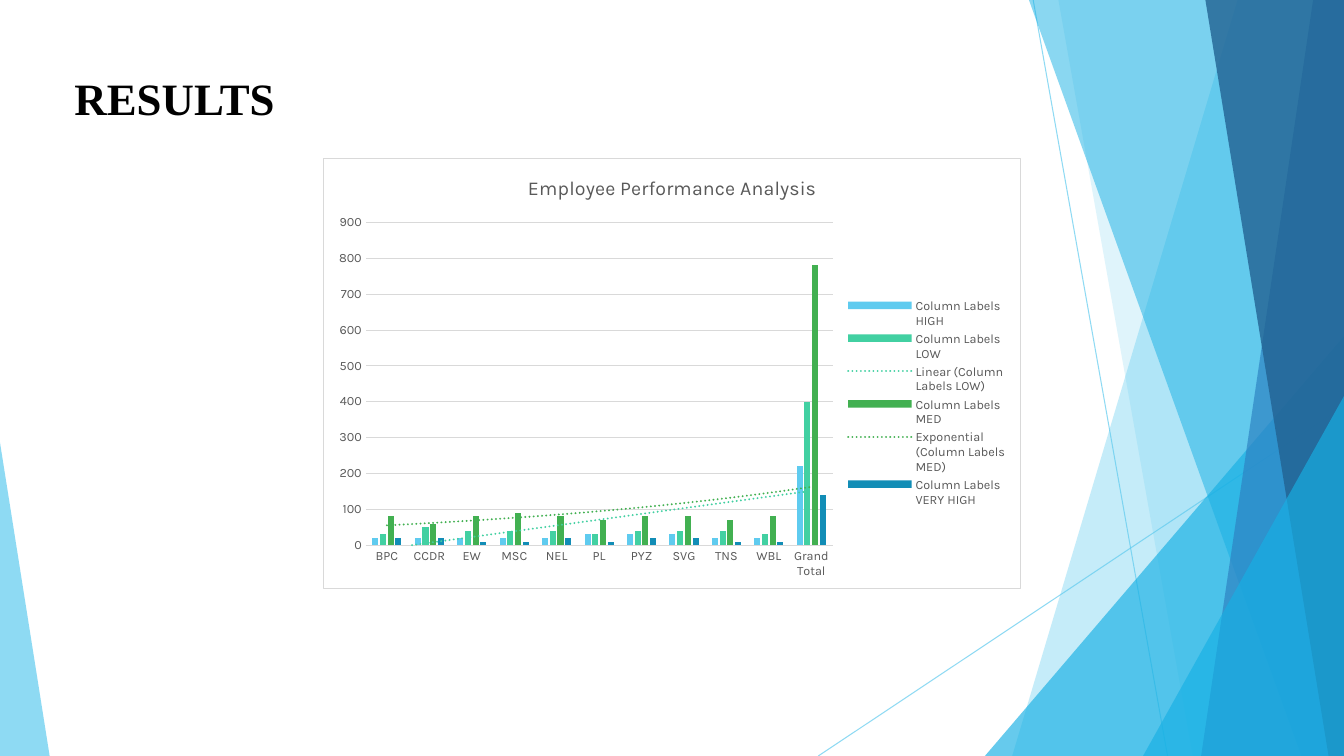
from lxml.etree import SubElement
from pptx import Presentation
from pptx.chart.data import CategoryChartData
from pptx.dml.color import RGBColor
from pptx.enum.chart import XL_CHART_TYPE, XL_LEGEND_POSITION, XL_TICK_MARK
from pptx.enum.shapes import MSO_CONNECTOR, MSO_SHAPE
from pptx.enum.text import MSO_ANCHOR, PP_ALIGN
from pptx.oxml import parse_xml
from pptx.oxml.ns import nsdecls, qn
from pptx.util import Pt

W, H = 960, 540
TITLE = "RESULTS"
CHART_TITLE = "Employee Performance Analysis"
FONT, GREY, RULE = "Karla", "595959", "D9D9D9"

# x1, y1, x2, y2
LINES = [(738, 0, 834, H), (W, 290, 584.5, H)]
# top-left x, bottom-left x, colour, opacity %; each band runs to the right edge
BANDS_BACK = [(884, 723, "5FCBEF", 36), (756, 852, "5FCBEF", 20)]
BANDS_FRONT = [
    (735, 929.5, "17B0E4", 50),
    (938, 858, "2E83C3", 70),
    (861, 949, "226292", 80),
]
# left, top, width, apex position, colour, opacity %; each stands on the bottom edge
TRIANGLE_BACK = (703.5, 240, 256.5, 1, "17B0E4", 66)
TRIANGLES_FRONT = [
    (816.5, 283, 143.5, 1, "17B0E4", 66),
    (0, 316, 35.5, 0, "5FCBEF", 70),
]

CATEGORIES = ["BPC", "CCDR", "EW", "MSC", "NEL", "PL", "PYZ", "SVG", "TNS", "WBL",
              "Grand Total"]
# name, colour, trend line, values
SERIES = [
    ("Column Labels HIGH", "5FCBEF", None,
     [20, 20, 20, 20, 20, 30, 30, 30, 20, 20, 220]),
    ("Column Labels LOW", "42D0A2", "linear",
     [30, 50, 40, 40, 40, 30, 40, 40, 40, 30, 400]),
    ("Column Labels MED", "42B051", "exp",
     [80, 60, 80, 90, 80, 70, 80, 80, 70, 80, 780]),
    ("Column Labels VERY HIGH", "128DB6", None,
     [20, 20, 10, 10, 20, 10, 20, 20, 10, 10, 140]),
]
# x, y, w, h as shares of the chart
PLOT_BOX = (0.06, 0.15, 0.67, 0.75)
LEGEND_BOX = (0.74, 0.32, 0.25, 0.5)


def rgb(value):
    return RGBColor.from_string(value)


def set_alpha(fill_parent, percent):
    color = next(fill_parent.iter(qn("a:srgbClr")))
    SubElement(color, qn("a:alpha"), val=str(percent * 1000))


def paint(s, color, opacity):
    s.shadow.inherit = False
    s.fill.solid()
    s.fill.fore_color.rgb = rgb(color)
    s.line.fill.background()
    set_alpha(s._element.spPr, opacity)


def add_line(x1, y1, x2, y2):
    s = shapes.add_connector(MSO_CONNECTOR.STRAIGHT, Pt(x1), Pt(y1), Pt(x2), Pt(y2))
    s.line.color.rgb = rgb("5FCBEF")
    s.line.width = Pt(0.75)
    set_alpha(s._element.spPr, 70)
    SubElement(s._element.spPr, qn("a:effectLst"))


def add_band(top_x, bottom_x, color, opacity):
    fb = shapes.build_freeform(Pt(top_x), 0)
    fb.add_line_segments([(Pt(W), 0), (Pt(W), Pt(H)), (Pt(bottom_x), Pt(H))])
    paint(fb.convert_to_shape(), color, opacity)


def add_triangle(left, top, width, apex, color, opacity):
    s = shapes.add_shape(MSO_SHAPE.ISOSCELES_TRIANGLE,
                         Pt(left), Pt(top), Pt(width), Pt(H - top))
    s.adjustments[0] = apex
    paint(s, color, opacity)


def style(font, size, color=GREY):
    font.name, font.size, font.bold = FONT, Pt(size), False
    font.color.rgb = rgb(color)


def layout_xml(box, inner=False):
    target = '<c:layoutTarget val="inner"/>' if inner else ""
    modes = "".join(f'<c:{k}Mode val="edge"/>' for k in "xy")
    sizes = "".join(f'<c:{k} val="{v}"/>' for k, v in zip("xywh", box))
    return parse_xml(f'<c:layout {nsdecls("c")}><c:manualLayout>{target}{modes}{sizes}'
                     "</c:manualLayout></c:layout>")


def place(parent, index, layout):
    for old in parent.findall(qn("c:layout")):
        parent.remove(old)
    parent.insert(index, layout)


def add_trend(series, kind, color):
    trend = parse_xml(
        f'<c:trendline {nsdecls("c", "a")}><c:spPr><a:ln w="19050" cap="rnd"><a:solidFill>'
        f'<a:srgbClr val="{color}"/></a:solidFill><a:prstDash val="sysDot"/></a:ln></c:spPr>'
        f'<c:trendlineType val="{kind}"/><c:dispRSqr val="0"/><c:dispEq val="0"/>'
        "</c:trendline>")
    series._element.find(qn("c:cat")).addprevious(trend)


prs = Presentation()
prs.slide_width, prs.slide_height = Pt(W), Pt(H)
slide = prs.slides.add_slide(prs.slide_layouts[5])
shapes = slide.shapes

for line in LINES:
    add_line(*line)
for band in BANDS_BACK:
    add_band(*band)
add_triangle(*TRIANGLE_BACK)
for band in BANDS_FRONT:
    add_band(*band)
for triangle in TRIANGLES_FRONT:
    add_triangle(*triangle)

title = shapes.title
title.left, title.top, title.width, title.height = Pt(46), Pt(47), Pt(546.5), Pt(46)
tf = title.text_frame
tf.vertical_anchor = MSO_ANCHOR.MIDDLE
p = tf.paragraphs[0]
p.alignment = PP_ALIGN.LEFT
r = p.add_run()
r.text = TITLE
r.font.name, r.font.size, r.font.bold = "Times New Roman", Pt(32), True
r.font.color.rgb = rgb("000000")

data = CategoryChartData()
data.categories = CATEGORIES
for name, color, trend, values in SERIES:
    data.add_series(name, values)
chart = shapes.add_chart(XL_CHART_TYPE.COLUMN_CLUSTERED, Pt(231), Pt(112.5),
                         Pt(498.5), Pt(308), data).chart
style(chart.font, 10, "000000")
chart.has_title = True
r = chart.chart_title.text_frame.paragraphs[0].add_run()
r.text = CHART_TITLE
style(r.font, 14)
chart.chart_title.include_in_layout = False

plot = chart.plots[0]
plot.gap_width, plot.overlap, plot.vary_by_categories = 219, -27, False
for series, (name, color, trend, values) in zip(plot.series, SERIES):
    series.format.fill.solid()
    series.format.fill.fore_color.rgb = rgb(color)
    if trend:
        add_trend(series, trend, color)

cat_axis, val_axis = chart.category_axis, chart.value_axis
for axis in (cat_axis, val_axis):
    axis.major_tick_mark = axis.minor_tick_mark = XL_TICK_MARK.NONE
    style(axis.tick_labels.font, 9)
val_axis.minimum_scale, val_axis.maximum_scale, val_axis.major_unit = 0, 900, 100
val_axis.format.line.fill.background()
for rule in (cat_axis.format.line, val_axis.major_gridlines.format.line):
    rule.color.rgb = rgb(RULE)
    rule.width = Pt(0.75)

chart.has_legend = True
legend = chart.legend
legend.position = XL_LEGEND_POSITION.RIGHT
legend.include_in_layout = False
style(legend.font, 9)

space = chart._chartSpace
place(next(space.iter(qn("c:plotArea"))), 0, layout_xml(PLOT_BOX, inner=True))
place(legend._element, 1, layout_xml(LEGEND_BOX))
space.find(qn("c:chart")).addnext(parse_xml(
    f'<c:spPr {nsdecls("c", "a")}><a:solidFill><a:srgbClr val="FFFFFF"/></a:solidFill>'
    f'<a:ln w="9525"><a:solidFill><a:srgbClr val="{RULE}"/></a:solidFill></a:ln></c:spPr>'))

prs.save("out.pptx")
